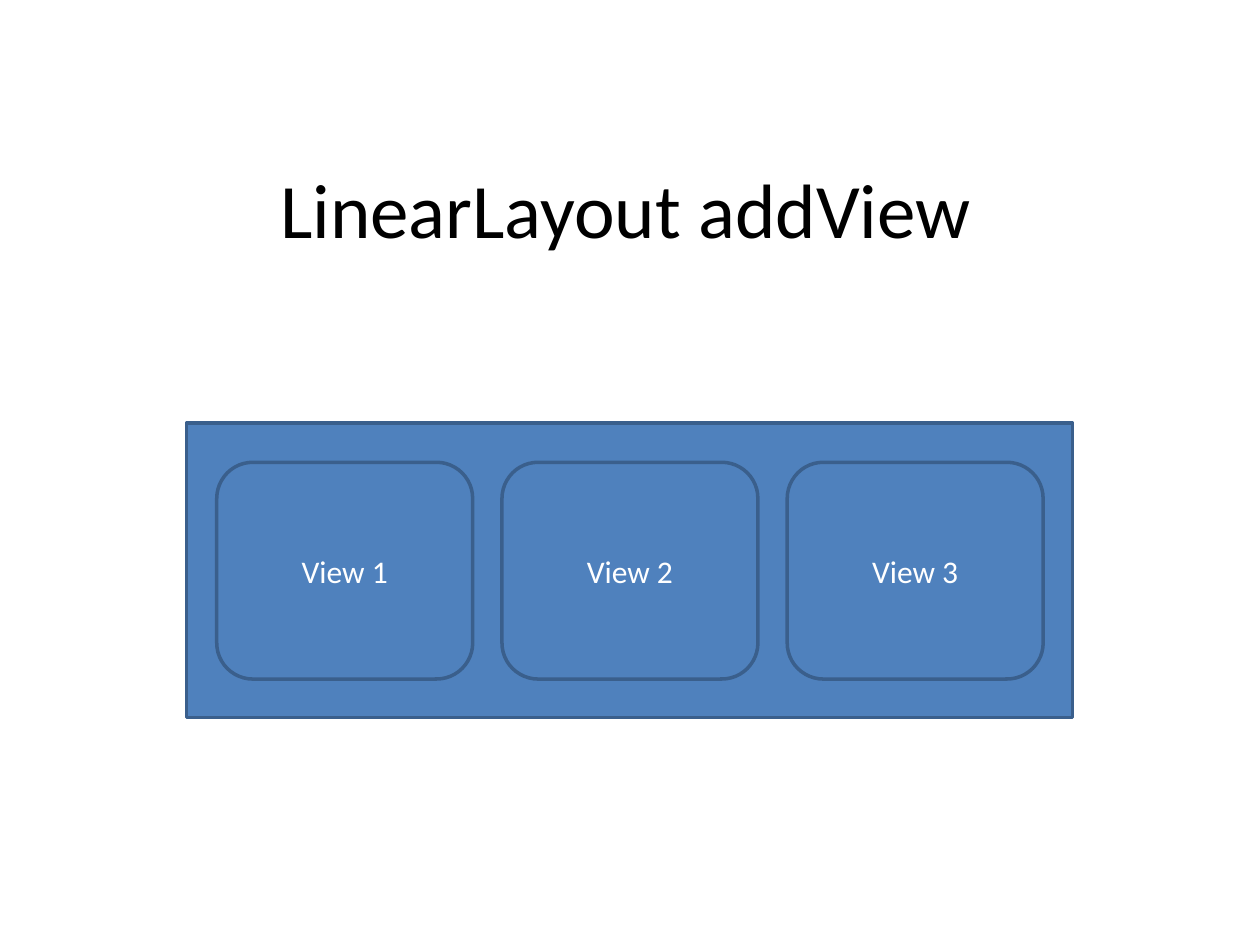
from dataclasses import dataclass

from pptx import Presentation
from pptx.dml.color import RGBColor as Color
from pptx.enum.shapes import MSO_SHAPE as Shape
from pptx.enum.text import MSO_ANCHOR as Anchor, PP_ALIGN as Align
from pptx.util import Cm, Pt


@dataclass(frozen=True)
class Theme:
    """Colours, font and sizes of the slide."""
    font: str = "Calibri"
    fill: Color = Color(0x4F, 0x81, 0xBD)
    outline: Color = Color(0x3A, 0x5F, 0x8C)
    title_color: Color = Color(0, 0, 0)
    label_color: Color = Color(255, 255, 255)
    title_size: int = 44
    label_size: int = 18
    line_width: int = 2


class Sketch:
    """Draws styled elements on the current slide."""

    def __init__(self, page, theme):
        self.page = page
        self.theme = theme

    def set_text(self, box, text, size, color):
        """Put centred text into a box."""
        frame = box.text_frame
        for name, value in {"word_wrap": True, "vertical_anchor": Anchor.MIDDLE}.items():
            setattr(frame, name, value)
        para = frame.paragraphs[0]
        para.alignment = Align.CENTER
        span = para.add_run()
        span.text = text
        span.font.color.rgb = color
        for name, value in {"name": self.theme.font, "size": Pt(size)}.items():
            setattr(span.font, name, value)

    def title(self, text, *area):
        """Add the slide title."""
        box = self.page.shapes.add_textbox(*map(Cm, area))
        self.set_text(box, text, self.theme.title_size, self.theme.title_color)

    def group(self):
        """Add an empty group."""
        return self.page.shapes.add_group_shape()

    def block(self, group, kind, *area, label=None):
        """Add a filled, outlined shape to a group."""
        box = group.shapes.add_shape(kind, *map(Cm, area))
        box.shadow.inherit = False
        box.fill.solid()
        box.fill.fore_color.rgb = self.theme.fill
        box.line.color.rgb = self.theme.outline
        box.line.width = Pt(self.theme.line_width)
        if label:
            self.set_text(box, label, self.theme.label_size, self.theme.label_color)


def main():
    """Build and save the slide."""
    deck = Presentation()
    for name, value in {"slide_width": Cm(25.4), "slide_height": Cm(19.05)}.items():
        setattr(deck, name, value)
    sketch = Sketch(deck.slides.add_slide(deck.slide_layouts[6]), Theme())

    layout = sketch.group()
    sketch.block(layout, Shape.RECTANGLE, 3.76, 8.53, 17.86, 5.94)
    view_left, view_top, view_width, view_height, gap = 4.37, 9.32, 5.16, 4.37, 0.59
    for index in range(3):
        left = view_left + index * (view_width + gap)
        sketch.block(layout, Shape.ROUNDED_RECTANGLE, left, view_top,
                     view_width, view_height, label=f"View {index + 1}")
    sketch.title("LinearLayout addView", 1.19, 2.59, 22.86, 3.18)
    deck.save("out.pptx")


main()
